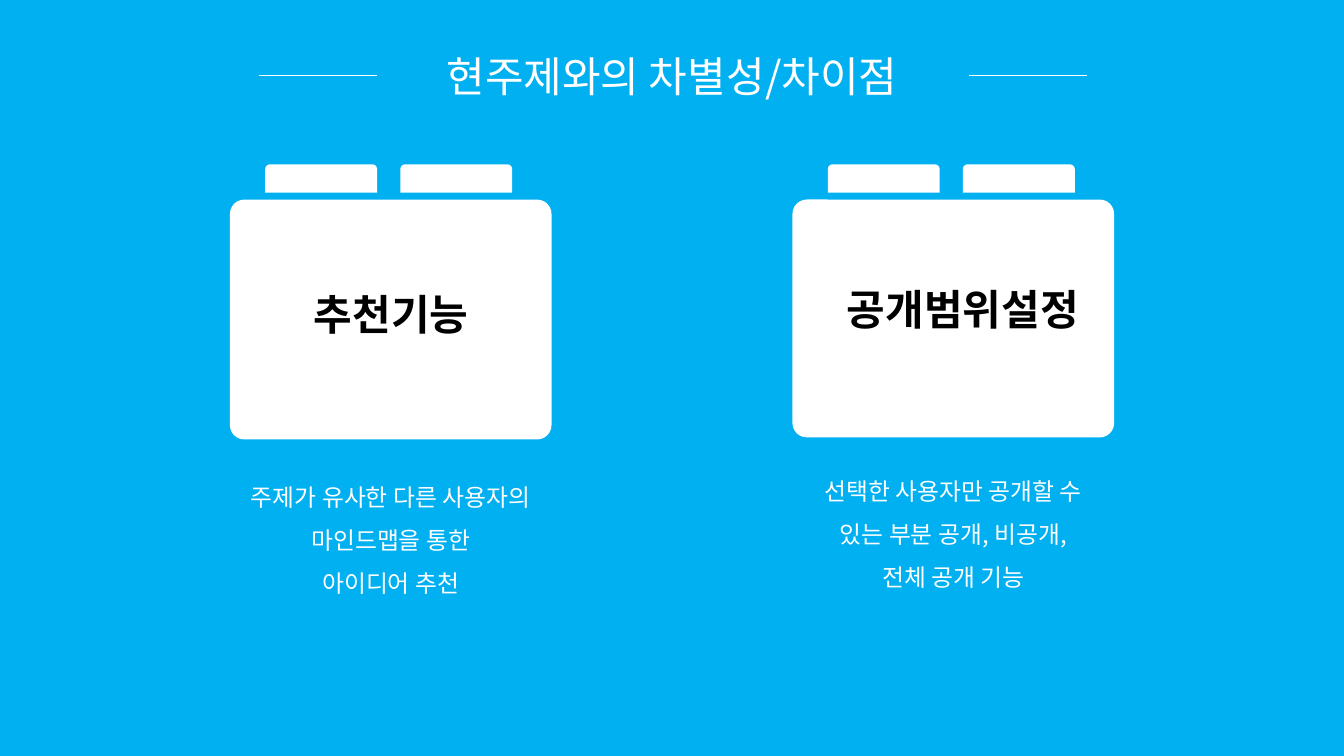
from pptx import Presentation
from pptx.dml.color import RGBColor
from pptx.enum.shapes import MSO_CONNECTOR, MSO_SHAPE
from pptx.enum.text import MSO_AUTO_SIZE, PP_ALIGN
from pptx.oxml import parse_xml
from pptx.oxml.ns import nsdecls, qn
from pptx.util import Inches, Pt
from lxml.etree import SubElement

FONT = "Noto Sans CJK KR"
WHITE, BLACK, SKY = "FFFFFF", "000000", "00B0F0"


def rgb(color):
    return RGBColor.from_string(color)


def add_text(left, top, width, height, lines, size, color, bold=False, spacing=None):
    """Add a centred text box, one paragraph per line, and return its runs."""
    box = s.shapes.add_textbox(Inches(left), Inches(top), Inches(width), Inches(height))
    tf = box.text_frame
    tf.word_wrap = True
    tf.auto_size = MSO_AUTO_SIZE.SHAPE_TO_FIT_TEXT
    runs = []
    for i, line in enumerate(lines):
        p = tf.paragraphs[0] if i == 0 else tf.add_paragraph()
        p.alignment = PP_ALIGN.CENTER
        p.line_spacing = spacing
        r = p.add_run()
        r.text = line
        r.font.size = Pt(size)
        r.font.bold = bold
        r.font.color.rgb = rgb(color)
        r.font.name = FONT
        SubElement(r.font._element, qn("a:ea"), typeface=FONT)
        runs.append(r)
    return runs


prs = Presentation()
prs.slide_width, prs.slide_height = Inches(13.33), Inches(7.5)
s = prs.slides.add_slide(prs.slide_layouts[6])
s.background.fill.solid()
s.background.fill.fore_color.rgb = rgb(SKY)

# Blocks: left, body height, heading (left, top, width, text), caption top and lines
blocks = [
    (2.28, 2.38, (2.73, 2.81, 2.3, "추천기능"),
     4.6, ["주제가 유사한 다른 사용자의 마인드맵을 통한", "아이디어 추천"]),
    (7.86, 2.36, (8.16, 2.76, 2.78, "공개범위설정"),
     4.54, ["선택한 사용자만 공개할 수 있는 부분 공개, 비공개,", "전체 공개 기능"]),
]
block_width = 3.19
for left, body_height, heading, caption_top, caption in blocks:
    group = s.shapes.add_group_shape()
    parts = [(MSO_SHAPE.ROUNDED_RECTANGLE, left, 1.98, block_width, body_height)]
    for stud_offset in (0.35, 1.69):
        parts.append((MSO_SHAPE.ROUND_2_SAME_RECTANGLE, left + stud_offset, 1.63, 1.11, 0.28))
    for kind, *frame in parts:
        sp = group.shapes.add_shape(kind, *map(Inches, frame))
        sp.shadow.inherit = False
        sp.fill.solid()
        sp.fill.fore_color.rgb = rgb(WHITE)
        sp.line.fill.background()
        if kind == MSO_SHAPE.ROUNDED_RECTANGLE:
            sp.adjustments[0] = 0.06

    heading_left, heading_top, heading_width, title = heading
    add_text(heading_left, heading_top, heading_width, 0.61, [title], 30, BLACK, bold=True)
    add_text(left, caption_top, block_width, 1.33, caption, 17, WHITE, spacing=1.5)

# Slide title with a soft text shadow, between two thin rules
title_run = add_text(0, 0.45, 13.33, 0.61, ["현주제와의 차별성/차이점"], 30, WHITE)[0]
text_shadow = parse_xml(
    f'<a:effectLst {nsdecls("a")}><a:outerShdw blurRad="38100" dist="38100" dir="2700000" '
    'algn="tl"><a:srgbClr val="000000"><a:alpha val="43000"/></a:srgbClr>'
    '</a:outerShdw></a:effectLst>')
title_run.font._element.find(qn("a:solidFill")).addnext(text_shadow)

for rule_left in (2.57, 9.61):
    rule = s.shapes.add_connector(MSO_CONNECTOR.STRAIGHT, Inches(rule_left), Inches(0.75),
                                  Inches(rule_left + 1.17), Inches(0.75))
    rule.line.color.rgb = rgb(WHITE)
    rule.line.width = Pt(0.5)
    SubElement(rule._element.spPr, qn("a:effectLst"))

prs.save("out.pptx")
